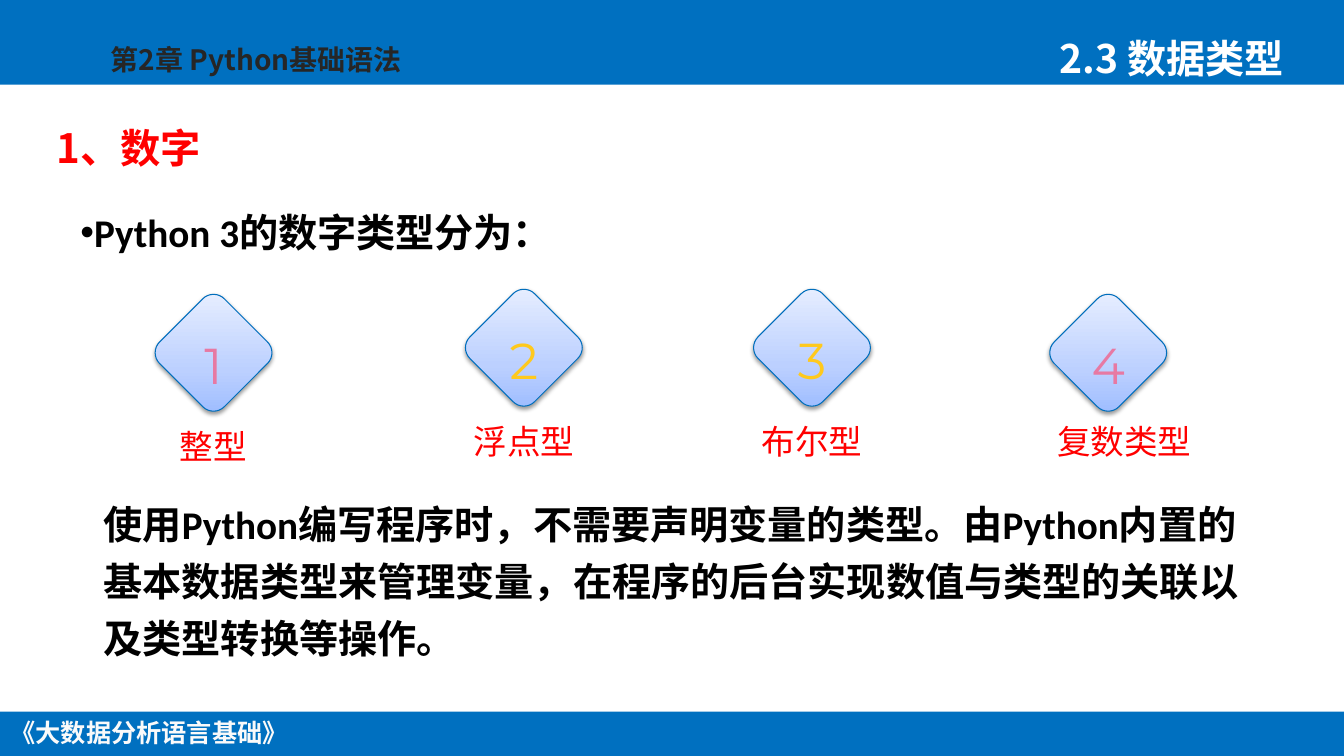
import copy
import math
from dataclasses import dataclass

import lxml.etree
import pptx
import pptx.dml.color
import pptx.enum.shapes
import pptx.enum.text
import pptx.oxml.ns
import pptx.util

Inches = pptx.util.Inches
qn = pptx.oxml.ns.qn
Align = pptx.enum.text.PP_ALIGN
Anchor = pptx.enum.text.MSO_ANCHOR


@dataclass(frozen=True)
class Theme:
    blue: str = "0070C0"
    edge: str = "006EBC"
    red: str = "FF0000"
    black: str = "000000"
    dark: str = "262626"
    white: str = "FFFFFF"
    pale: str = "FAFAFA"
    pink: str = "E779A3"
    gold: str = "FFC91D"
    blend: tuple = ((0, "A0BEFF"), (0.35, "BCD0FF"), (1, "E5EDFF"))
    han: str = "Noto Sans CJK SC"
    latin: str = "Calibri"
    digit: str = "Montserrat"
    title: float = 28.8
    head: float = 28
    body: float = 28
    lead: float = 40.6
    label: float = 24
    number: float = 36
    chapter: float = 20
    foot: float = 18


THEME = Theme()


@dataclass(frozen=True)
class Style:
    size: float
    color: str
    font: str = THEME.han
    bold: bool = True
    align: Align = Align.LEFT


@dataclass(frozen=True)
class Label:
    text: str
    box: tuple
    style: Style
    wrap: bool = True
    lead: float = 0
    bullet: str = ""


@dataclass(frozen=True)
class Kind:
    name: str
    mid: float
    top: float
    color: str
    label_mid: float
    label_top: float


BODY = Style(THEME.body, THEME.black, THEME.latin)
NAME = Style(THEME.label, THEME.red, bold=False, align=Align.CENTER)

BARS = [(0, 0, 13.34, 0.84), (0, 7.06, 13.34, 0.44)]

LABELS = [
    Label("《大数据分析语言基础》", (0, 7.07, 2.96, 0.4),
          Style(THEME.foot, THEME.pale, align=Align.CENTER), wrap=False),
    Label("第2章 Python基础语法", (1, 0.37, 3.78, 0.44),
          Style(THEME.chapter, THEME.dark)),
    Label("2.3 数据类型", (10.42, 0.29, 2.92, 0.57),
          Style(THEME.head, THEME.white)),
    Label("Python 3的数字类型分为：", (0.7, 1.92, 12.64, 0.76), BODY,
          lead=THEME.lead, bullet="•"),
    Label("使用Python编写程序时，不需要声明变量的类型。由Python内置的基本数据类型来管理变量，"
          "在程序的后台实现数值与类型的关联以及类型转换等操作。",
          (0.93, 4.82, 11.68, 1.81), BODY, lead=THEME.lead),
]

KINDS = [
    Kind("整型", 2.12, 2.92, THEME.pink, 2.12, 4.18),
    Kind("浮点型", 5.2, 2.87, THEME.gold, 5.2, 4.13),
    Kind("布尔型", 8.06, 2.87, THEME.gold, 8.06, 4.13),
    Kind("复数类型", 11, 2.92, THEME.pink, 11.16, 4.13),
]

HALF = 0.58
ROUND = 0.15
SIDE = ROUND / math.sqrt(2)
FLAT = HALF - ROUND + SIDE
PULL = 0.55 * SIDE


def rgb(color: str) -> pptx.dml.color.RGBColor:
    return pptx.dml.color.RGBColor.from_string(color)


def write(frame, text: str, style: Style):
    para = frame.paragraphs[0]
    para.alignment = style.align
    run = para.add_run()
    run.text = text
    run.font.size = pptx.util.Pt(style.size)
    run.font.bold = style.bold
    run.font.color.rgb = rgb(style.color)
    run.font.name = style.font
    han = lxml.etree.SubElement(run.font._element, qn("a:ea"))
    han.set("typeface", THEME.han)
    return para


def draw_bar(slide, box: tuple) -> None:
    bar = slide.shapes.add_shape(
        pptx.enum.shapes.MSO_SHAPE.RECTANGLE, *map(Inches, box))
    bar.shadow.inherit = False
    bar.fill.solid()
    bar.fill.fore_color.rgb = rgb(THEME.blue)
    bar.line.fill.background()


def draw_label(slide, label: Label) -> None:
    frame = slide.shapes.add_textbox(*map(Inches, label.box)).text_frame
    frame.word_wrap = label.wrap
    para = write(frame, label.text, label.style)
    if label.lead:
        para.line_spacing = pptx.util.Pt(label.lead)
    if label.bullet:
        props = para._p.get_or_add_pPr()
        props.set("marL", "0")
        props.set("indent", "0")
        lxml.etree.SubElement(props, qn("a:buFont")).set("typeface", "Arial")
        lxml.etree.SubElement(props, qn("a:buChar")).set("char", label.bullet)


def draw_title(slide, text: str) -> None:
    title = slide.shapes.title
    title.left, title.top, title.width, title.height = map(
        Inches, (0.46, 1.18, 5.18, 0.51))
    frame = title.text_frame
    frame.auto_size = pptx.enum.text.MSO_AUTO_SIZE.NONE
    frame.vertical_anchor = Anchor.MIDDLE
    frame.margin_top = Inches(0.11)
    write(frame, text, Style(THEME.title, THEME.red))


def spot(turn: int, out: float, side: float, mid: float, top: float) -> tuple:
    angle = math.radians(turn)
    x = mid + out * math.cos(angle) - side * math.sin(angle)
    y = top + HALF + out * math.sin(angle) + side * math.cos(angle)
    return Inches(x), Inches(y)


def draw_gem(slide, mid: float, top: float):
    turns = range(0, 360, 90)
    first, *rest = [
        spot(turn, out, side, mid, top) for turn in turns
        for out, side in ((FLAT, -SIDE), (HALF, 0), (FLAT, SIDE))]
    pen = slide.shapes.build_freeform(*first)
    pen.add_line_segments(rest, close=True)
    gem = pen.convert_to_shape()
    lines = list(gem._element.spPr.iter(qn("a:lnTo")))
    for turn, tip, end in zip(turns, lines[0::3], lines[1::3]):
        curve = lxml.etree.Element(qn("a:cubicBezTo"))
        for side in (PULL - SIDE, SIDE - PULL):
            x, y = spot(turn, FLAT + PULL, side, HALF, 0)
            lxml.etree.SubElement(curve, qn("a:pt"), x=str(x), y=str(y))
        curve.append(end[0])
        tip.addprevious(curve)
        tip.getparent().remove(tip)
        end.getparent().remove(end)
    return gem


def add_shade(shape) -> None:
    shape.shadow.inherit = False
    effects = shape._element.spPr.find(qn("a:effectLst"))
    shade = lxml.etree.SubElement(effects, qn("a:outerShdw"), {
        "blurRad": str(pptx.util.Pt(3.1)), "dist": str(pptx.util.Pt(1.6)),
        "dir": "5400000", "rotWithShape": "0"})
    color = lxml.etree.SubElement(shade, qn("a:srgbClr"), val=THEME.black)
    lxml.etree.SubElement(color, qn("a:alpha"), val="38000")


def add_blend(shape) -> None:
    shape.fill.gradient()
    shape.fill.gradient_angle = 90
    stops = shape._element.spPr.find(".//" + qn("a:gsLst"))
    stops.append(copy.deepcopy(stops[0]))
    for stop, (place, color) in zip(shape.fill.gradient_stops, THEME.blend):
        stop.position = place
        stop.color.rgb = rgb(color)


def draw_kind(slide, number: int, kind: Kind) -> None:
    gem = draw_gem(slide, kind.mid, kind.top)
    add_blend(gem)
    gem.line.color.rgb = rgb(THEME.edge)
    gem.line.width = pptx.util.Pt(0.75)
    add_shade(gem)
    frame = gem.text_frame
    frame.vertical_anchor = Anchor.MIDDLE
    frame.margin_top = Inches(0.28)
    write(frame, str(number), Style(THEME.number, kind.color, THEME.digit,
                                    False, Align.CENTER))
    draw_label(slide, Label(
        kind.name, (kind.label_mid - 0.83, kind.label_top, 1.66, 0.57), NAME))


def main() -> None:
    deck = pptx.Presentation()
    deck.slide_width, deck.slide_height = Inches(13.34), Inches(7.5)
    slide = deck.slides.add_slide(deck.slide_layouts[5])
    for box in BARS:
        draw_bar(slide, box)
    draw_title(slide, "1、数字")
    for label in LABELS:
        draw_label(slide, label)
    for number, kind in enumerate(KINDS, 1):
        draw_kind(slide, number, kind)
    deck.save("out.pptx")


if __name__ == "__main__":
    main()
